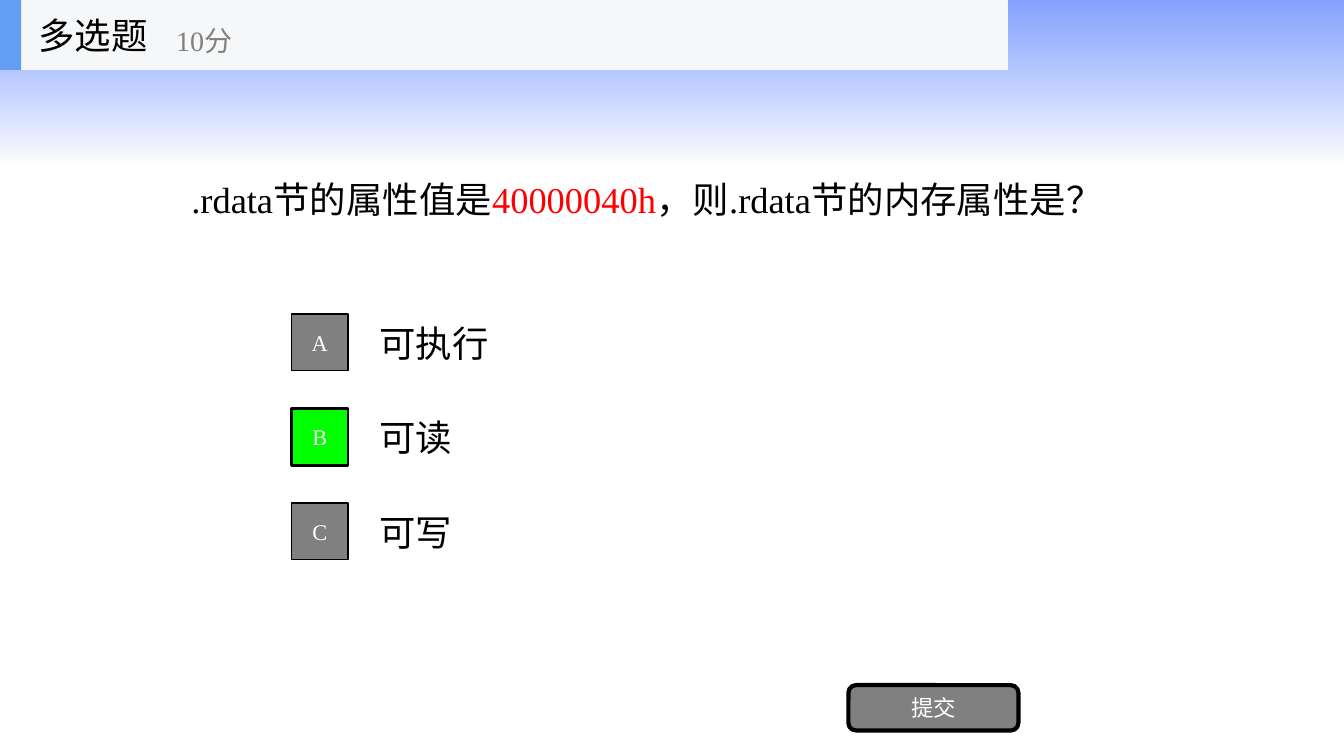
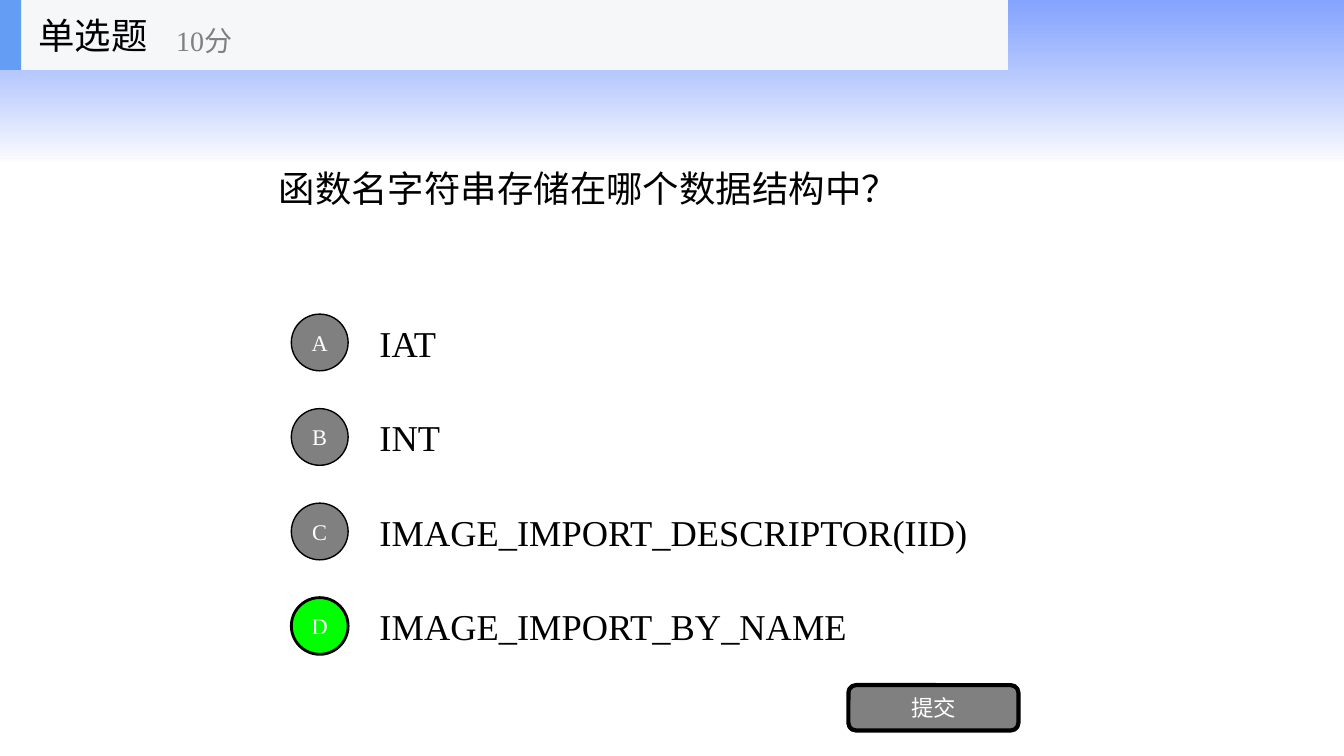
"""Build two quiz slides that share a header, an option grid and a submit button."""
from dataclasses import dataclass
from lxml import etree
from pptx import Presentation, util as u
from pptx.dml.color import RGBColor
from pptx.enum import shapes, text
from pptx.oxml.ns import qn


@dataclass(frozen=True)
class Theme:
    font: str = "Times New Roman"
    ink: str = "000000"
    white: str = "FFFFFF"
    gray: str = "808080"
    correct: str = "00FF00"
    highlight: str = "FF0000"
    header: str = "F6F7F8"
    accent: str = "639EF4"
    sky: str = "3366FF"
    body_size: int = 26
    score_size: int = 20
    button_size: int = 16


theme = Theme()
presentation = Presentation()
presentation.slide_width = u.Inches(13.33)
presentation.slide_height = u.Inches(7.5)
COLUMN = presentation.slide_width / 40
ROW = presentation.slide_height / 40
OPTION_PITCH = 5
LETTERS = "ABCD"
RECTANGLE = shapes.MSO_SHAPE.RECTANGLE


def add_block(slide, kind, area, fill, line_width=0):
    left, top, width, height = area
    shape = slide.shapes.add_shape(kind, int(left * COLUMN), int(top * ROW),
                                   int(width * COLUMN), int(height * ROW))
    shape.shadow.inherit = False
    shape.fill.solid()
    shape.fill.fore_color.rgb = RGBColor.from_string(fill)
    if line_width:
        shape.line.color.rgb = RGBColor.from_string(theme.ink)
        shape.line.width = u.Pt(line_width)
    else:
        shape.line.fill.background()
    return shape


def write(shape, pieces, size, color, area=None, alignment=text.PP_ALIGN.LEFT):
    if area:
        left, top, width, height = area
        shape.left, shape.top = int(left * COLUMN), int(top * ROW)
        shape.width, shape.height = int(width * COLUMN), int(height * ROW)
    frame = shape.text_frame
    frame.word_wrap = True
    frame.auto_size = text.MSO_AUTO_SIZE.NONE
    frame.vertical_anchor = text.MSO_ANCHOR.MIDDLE
    paragraph = frame.paragraphs[0]
    paragraph.alignment = alignment
    for piece in pieces:
        run = paragraph.add_run()
        run.text = piece
        run.font.name = theme.font
        run.font.size = u.Pt(size)
        marked = piece == "40000040h"
        run.font.color.rgb = RGBColor.from_string(theme.highlight if marked else color)


quizzes = [
    ("多选题", [".rdata节的属性值是", "40000040h", "，则.rdata节的内存属性是？"],
     (5.4, 4.27, 29.2, 12.5), RECTANGLE, ["可执行", "可读", "可写"], "B"),
    ("单选题", ["函数名字符串存储在哪个数据结构中？"],
     (8, 3.7, 24, 12.5), shapes.MSO_SHAPE.OVAL,
     ["IAT", "INT", "IMAGE_IMPORT_DESCRIPTOR(IID)", "IMAGE_IMPORT_BY_NAME"], "D"),
]
layout = presentation.slide_layouts[5]
slides = [presentation.slides.add_slide(layout) for quiz in quizzes]

sky_band = add_block(slides[0], RECTANGLE, (0, 0, 40, 8.64), theme.sky)
sky_band.fill.gradient()
sky_band.fill.gradient_angle = 270
stops = zip(sky_band.fill.gradient_stops, (theme.sky, theme.white), (0, 1))
for stop, color, position in stops:
    stop.color.rgb = RGBColor.from_string(color)
    stop.position = position
for color, opacity in zip(sky_band.element.iter(qn("a:srgbClr")), (60, 70)):
    etree.SubElement(color, qn("a:alpha")).set("val", str(opacity * 1000))
header_band = add_block(slides[0], RECTANGLE, (0, 0, 30, 3.7), theme.header)
accent_bar = add_block(slides[0], RECTANGLE, (0, 0, 0.63, 3.7), theme.accent)
for index, band in enumerate((sky_band, header_band, accent_bar), start=2):
    layout.shapes.element.insert(index, band.element)

for slide, (title, question, question_area, marker, options, answer) in zip(slides, quizzes):
    write(slide.shapes.title, [title], theme.body_size, theme.ink, (0.84, 0, 6.24, 3.7))
    write(slide.shapes.add_textbox(0, 0, 0, 0), ["10分"], theme.score_size, theme.gray,
          (4.95, 0.65, 7.5, 3))
    write(slide.shapes.add_textbox(0, 0, 0, 0), question, theme.body_size, theme.ink,
          question_area)
    for index, (letter, option) in enumerate(zip(LETTERS, options)):
        offset = index * OPTION_PITCH
        write(slide.shapes.add_textbox(0, 0, 0, 0), [option], theme.body_size, theme.ink,
              (11, 16.25 + offset, 21, 3.75))
        correct = letter == answer
        badge = add_block(slide, marker, (8.67, 16.62 + offset, 1.69, 3),
                          theme.correct if correct else theme.gray, 2 if correct else 1)
        write(badge, [letter], theme.button_size, theme.white,
              alignment=text.PP_ALIGN.CENTER)
    button = add_block(slide, shapes.MSO_SHAPE.ROUNDED_RECTANGLE,
                       (25.25, 36.25, 5.06, 2.4), theme.gray, 3)
    write(button, ["提交"], theme.button_size, theme.white, alignment=text.PP_ALIGN.CENTER)

presentation.save("out.pptx")
